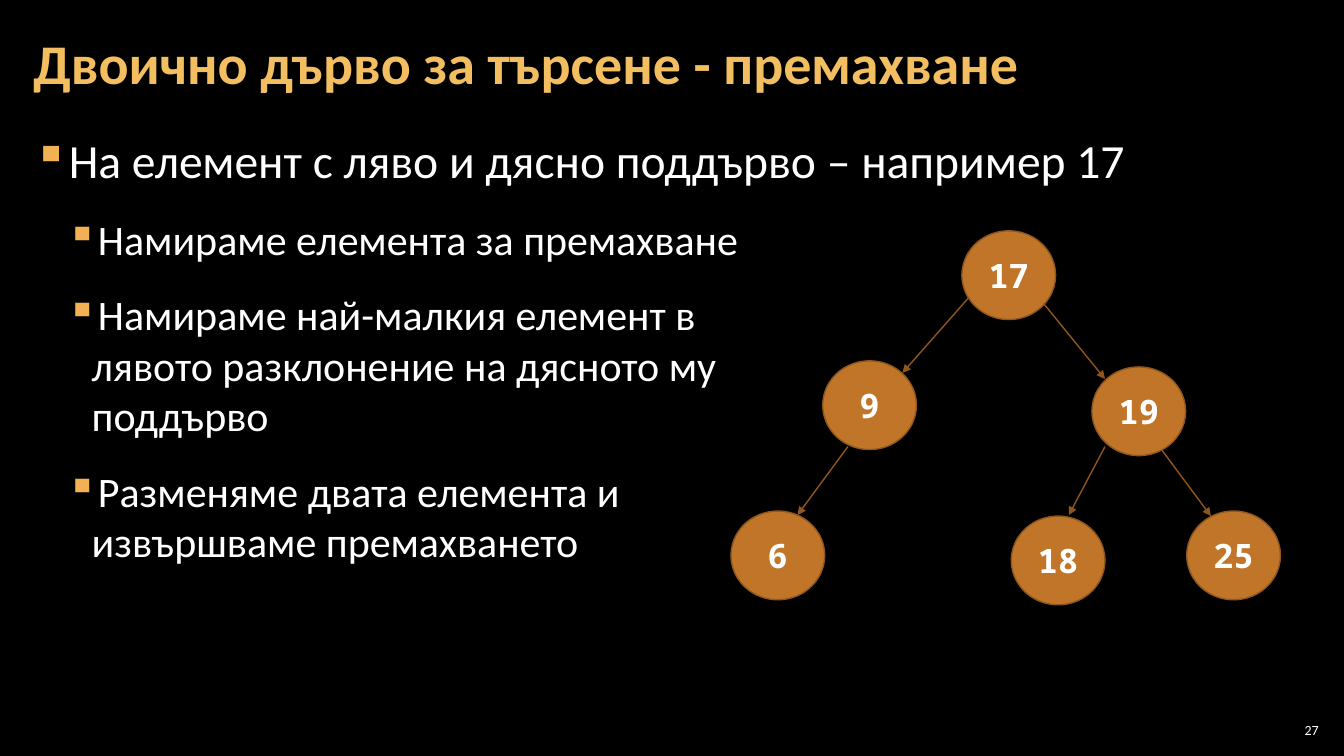
from lxml.etree import SubElement
from pptx import Presentation
from pptx.dml.color import RGBColor
from pptx.enum.shapes import MSO_CONNECTOR, MSO_SHAPE
from pptx.enum.text import MSO_ANCHOR, PP_ALIGN
from pptx.oxml.ns import qn
from pptx.util import Pt

PX = 9144  # 100 px to the inch
COLORS = {
    "background": "000000",
    "text": "FFFFFF",
    "title": "F3BE60",
    "bullet": "F2B254",
    "node": "C17529",
    "edge": "8F571E",
}


def rgb(name):
    return RGBColor.from_string(COLORS[name])


def format_text(frame, size, color, font="Calibri", bold=False, margins=(12, 4)):
    frame.word_wrap = True
    frame.margin_left = frame.margin_right = margins[0] * PX
    frame.margin_top = frame.margin_bottom = margins[1] * PX
    for paragraph in frame.paragraphs:
        for run in paragraph.runs:
            run.font.size = Pt(size)
            run.font.name = font
            run.font.bold = bold
            run.font.color.rgb = rgb(color)


presentation = Presentation()
presentation.slide_width = 1333 * PX
presentation.slide_height = 750 * PX
slide = presentation.slides.add_slide(presentation.slide_layouts[5])
slide.background.fill.solid()
slide.background.fill.fore_color.rgb = rgb("background")

# Title
title = slide.shapes.title
title.left, title.top, title.width, title.height = 21 * PX, 5 * PX, 1047 * PX, 121 * PX
title.text_frame.text = "Двоично дърво за търсене - премахване"
title.text_frame.vertical_anchor = MSO_ANCHOR.MIDDLE
title.text_frame.paragraphs[0].alignment = PP_ALIGN.LEFT
title.text_frame.paragraphs[0].line_spacing = 0.9
format_text(title.text_frame, 40, "title", bold=True)

# Removal steps: level, text
steps = [
    (0, "На елемент с ляво и дясно поддърво – например 17"),
    (1, "Намираме елемента за премахване"),
    (1, "Намираме най-малкия елемент в\nлявото разклонение на дясното му\nподдърво"),
    (1, "Разменяме двата елемента и\nизвършваме премахването"),
]
explanation = slide.shapes.add_textbox(21 * PX, 126 * PX, 1312 * PX, 609 * PX).text_frame
for index, (level, step) in enumerate(steps):
    paragraph = explanation.add_paragraph() if index else explanation.paragraphs[0]
    paragraph.text = step
    paragraph.level = level
    paragraph.space_before = Pt(12)
    paragraph.space_after = Pt(6)
    properties = paragraph._p.get_or_add_pPr()
    properties.set("marL", str((25 + 33 * level) * PX))
    properties.set("indent", str(-25 * PX))
    bullet_color = SubElement(properties, qn("a:buClr"))
    SubElement(bullet_color, qn("a:srgbClr"), val=COLORS["bullet"])
    SubElement(properties, qn("a:buChar"), char="▪")
format_text(explanation, 30, "text")
explanation.paragraphs[0].runs[0].font.size = Pt(34)

# Tree nodes: value, left, top
nodes = [
    (17, 954, 229),
    (9, 816, 358),
    (19, 1083, 364),
    (6, 725, 507),
    (18, 1003, 512),
    (25, 1177, 507),
]
for value, left, top in nodes:
    node = slide.shapes.add_shape(MSO_SHAPE.OVAL, left * PX, top * PX, 93 * PX, 88 * PX)
    node.shadow.inherit = False
    node.fill.solid()
    node.fill.fore_color.rgb = rgb("node")
    node.line.color.rgb = rgb("edge")
    node.line.width = Pt(1)
    node.text_frame.text = str(value)
    node.text_frame.vertical_anchor = MSO_ANCHOR.MIDDLE
    node.text_frame.paragraphs[0].alignment = PP_ALIGN.CENTER
    format_text(node.text_frame, 24, "text", "Noto Sans Mono", True, (10, 5))

# Arrows from parent to child: start x, start y, end x, end y
edges = [
    (961, 295, 895, 370),
    (1035, 301, 1096, 376),
    (841, 443, 791, 511),
    (1096, 443, 1060, 511),
    (1152, 446, 1201, 512),
]
for edge in edges:
    arrow = slide.shapes.add_connector(MSO_CONNECTOR.STRAIGHT, *(length * PX for length in edge))
    arrow.line.color.rgb = rgb("edge")
    arrow.line.width = Pt(1)
    arrow_properties = arrow._element.spPr
    SubElement(arrow_properties.find(qn("a:ln")), qn("a:tailEnd"), type="triangle")
    SubElement(arrow_properties, qn("a:effectLst"))

# Slide number
page_number = slide.shapes.add_textbox(1265 * PX, 714 * PX, 47 * PX, 21 * PX).text_frame
page_number.text = "27"
page_number.vertical_anchor = MSO_ANCHOR.MIDDLE
page_number.paragraphs[0].alignment = PP_ALIGN.RIGHT
format_text(page_number, 10, "text", margins=(4, 4))

presentation.save("out.pptx")
